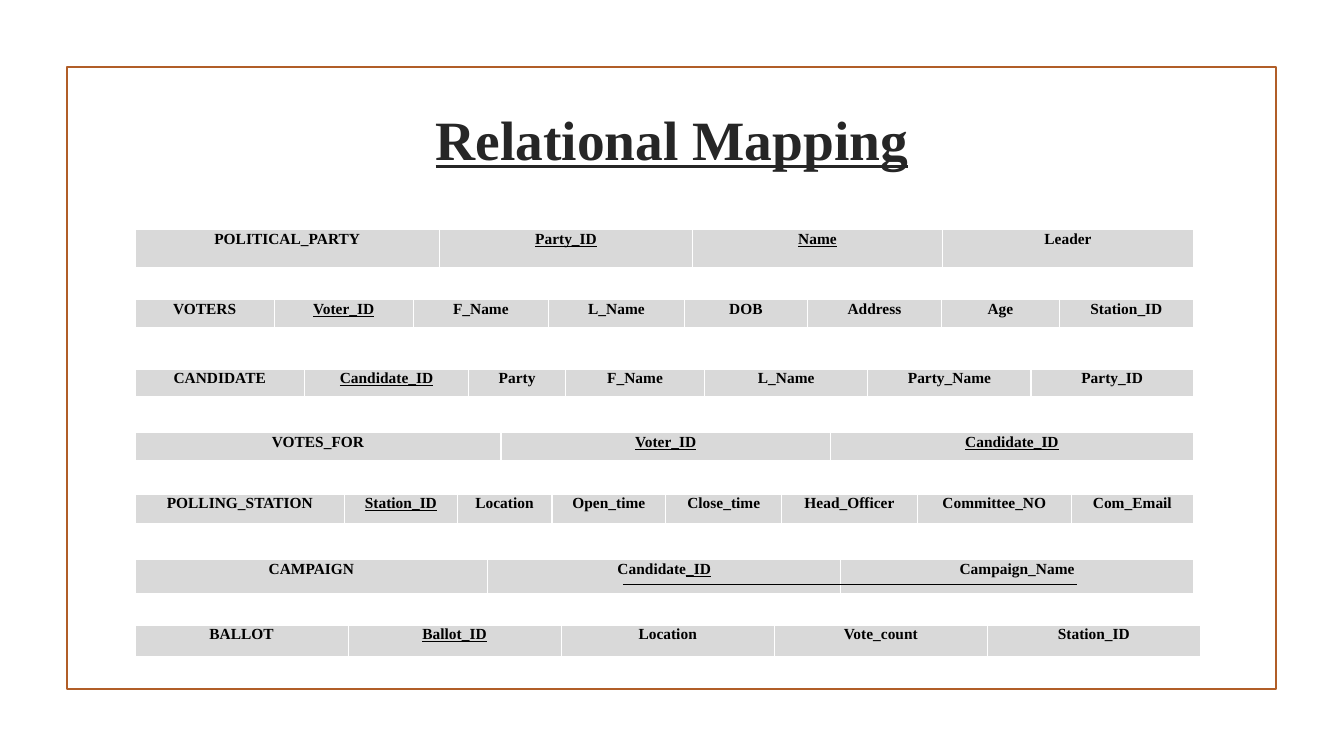
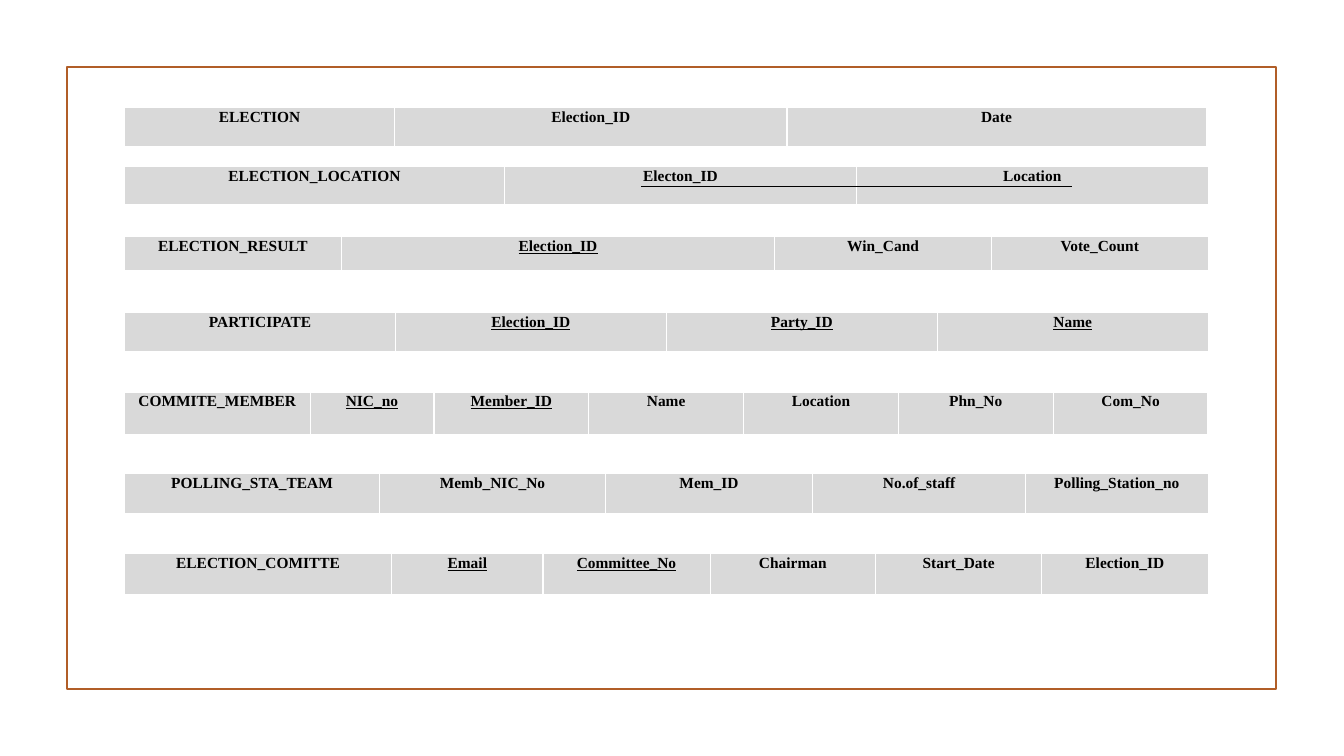
import pptx
import pptx.dml.color
import pptx.enum.shapes
import pptx.enum.text
import pptx.oxml
import pptx.oxml.ns
import pptx.util

Pt = pptx.util.Pt
RGBColor = pptx.dml.color.RGBColor
CENTER = pptx.enum.text.PP_ALIGN.CENTER
MIDDLE = pptx.enum.text.MSO_ANCHOR.MIDDLE

RUST = RGBColor(0xB1, 0x5E, 0x28)
CHARCOAL = RGBColor(0x26, 0x26, 0x26)
BLACK = RGBColor(0, 0, 0)
WHITE = RGBColor(0xFF, 0xFF, 0xFF)
GREY = RGBColor(0xD9, 0xD9, 0xD9)

FONT = "Times New Roman"
TITLE_FORMAT = {"name": FONT, "size": Pt(39.6), "bold": True, "underline": True}
CELL_FORMAT = {"name": FONT, "size": Pt(11), "bold": True}
CELL_MARGINS = {"margin_left": Pt(5), "margin_right": Pt(5), "margin_top": 0, "margin_bottom": 0}
TABLE_FLAGS = {"first_row": False, "horz_banding": False}
BORDERS = {"lnL": 1, "lnR": 1, "lnT": 1, "lnB": 3}


def key(text, plain=""):
    return plain, text


SLIDES = [
    {
        "title": "Relational Mapping",
        "left": 96.5,
        "rules": [(445, 769, 417.6)],
        "relations": [
            (164.2, 28, [217.5, 180.7, 178.6, 179.3],
             ["POLITICAL_PARTY", key("Party_ID"), key("Name"), "Leader"]),
            (213.8, 20.9, [99.4, 99.4, 96.5, 97.2, 87.8, 95.8, 84.2, 95.8],
             ["VOTERS", key("Voter_ID"), "F_Name", "L_Name", "DOB", "Address", "Age", "Station_ID"]),
            (263.5, 20.9, [121, 117.4, 69.1, 99.4, 116.6, 116.6, 115.9],
             ["CANDIDATE", key("Candidate_ID"), "Party", "F_Name", "L_Name", "Party_Name", "Party_ID"]),
            (308.9, 20.9, [261.4, 235.4, 259.2],
             ["VOTES_FOR", key("Voter_ID"), key("Candidate_ID")]),
            (352.8, 22.3, [149.8, 80.3, 67.7, 81.4, 82.8, 96.8, 110.2, 87],
             ["POLLING_STATION", key("Station_ID"), "Location", "Open_time", "Close_time",
              "Head_Officer", "Committee_NO", "Com_Email"]),
            (399.6, 25.2, [252] * 3,
             ["CAMPAIGN", key("_ID", "Candidate"), "Campaign_Name"]),
            (446.4, 23.8, [152.2] * 5,
             ["BALLOT", key("Ballot_ID"), "Location", "Vote_count", "Station_ID"]),
        ],
    },
    {
        "title": None,
        "left": 89,
        "rules": [(458, 766, 133.2)],
        "relations": [
            (77, 28.8, [193, 280.1, 299.5],
             ["ELECTION", "Election_ID", "Date"]),
            (118.8, 28, [271.4, 251.3, 251.3],
             ["ELECTION_LOCATION", "Electon_ID", "Location"]),
            (169.2, 25.2, [154.8, 309.6, 154.8, 154.8],
             ["ELECTION_RESULT", key("Election_ID"), "Win_Cand", "Vote_Count"]),
            (223.2, 28.8, [193.5] * 4,
             ["PARTICIPATE", key("Election_ID"), key("Party_ID"), key("Name")]),
            (280, 31, [132.5, 88.5] + [110.6] * 5,
             ["COMMITE_MEMBER", key("NIC_no"), key("Member_ID"), "Name", "Location", "Phn_No", "Com_No"]),
            (338.4, 29.5, [182.2, 161.3, 148, 152.2, 130.3],
             ["POLLING_STA_TEAM", "Memb_NIC_No", "Mem_ID", "No.of_staff", "Polling_Station_no"]),
            (395.3, 30.2, [190.8, 108, 119.5, 118.1, 118.8, 118.8],
             ["ELECTION_COMITTE", key("Email"), key("Committee_No"), "Chairman", "Start_Date", "Election_ID"]),
        ],
    },
]


def apply(target, values):
    for name, value in values.items():
        setattr(target, name, value)


def add_run(p, text, values, color):
    r = p.add_run()
    r.text = text
    apply(r.font, values)
    r.font.color.rgb = color


def add_frame(s):
    sp = s.shapes.add_shape(pptx.enum.shapes.MSO_SHAPE.RECTANGLE, Pt(47.7), Pt(48), Pt(864), Pt(444))
    sp.shadow.inherit = False
    sp.fill.background()
    sp.line.color.rgb = RUST
    sp.line.width = Pt(1.25)


def add_title(s, text):
    tf = s.shapes.add_textbox(Pt(102), Pt(77), Pt(756), Pt(44)).text_frame
    apply(tf, {"word_wrap": True, "vertical_anchor": MIDDLE})
    p = tf.paragraphs[0]
    p.alignment = CENTER
    add_run(p, text, TITLE_FORMAT, CHARCOAL)


def fill_cell(cell, content):
    apply(cell, CELL_MARGINS)
    tc_pr = cell._tc.get_or_add_tcPr()
    for tag, width in BORDERS.items():
        tc_pr.append(pptx.oxml.parse_xml(
            f'<a:{tag} {pptx.oxml.ns.nsdecls("a")} w="{Pt(width)}">'
            f'<a:solidFill><a:srgbClr val="{WHITE}"/></a:solidFill></a:{tag}>'))
    cell.fill.solid()
    cell.fill.fore_color.rgb = GREY
    p = cell.text_frame.paragraphs[0]
    apply(p, {"alignment": CENTER, "line_spacing": 1.07})
    plain, underlined = content if isinstance(content, tuple) else (content, "")
    for text, underline in ((plain, False), (underlined, True)):
        if text:
            add_run(p, text, {**CELL_FORMAT, "underline": underline}, BLACK)


def add_relation(s, left, top, height, widths, fields):
    table = s.shapes.add_table(1, len(fields), Pt(left), Pt(top), Pt(sum(widths)), Pt(height)).table
    apply(table, TABLE_FLAGS)
    for column, width in zip(table.columns, widths):
        column.width = Pt(width)
    for cell, content in zip(table.rows[0].cells, fields):
        fill_cell(cell, content)


def add_rule(s, x1, x2, y):
    line = s.shapes.add_connector(pptx.enum.shapes.MSO_CONNECTOR.STRAIGHT, Pt(x1), Pt(y), Pt(x2), Pt(y))
    line.line.color.rgb = BLACK
    line.line.width = Pt(0.75)
    line._element.spPr.append(pptx.oxml.parse_xml(f'<a:effectLst {pptx.oxml.ns.nsdecls("a")}/>'))


def main():
    prs = pptx.Presentation()
    apply(prs, {"slide_width": Pt(960), "slide_height": Pt(540)})
    for content in SLIDES:
        s = prs.slides.add_slide(prs.slide_layouts[6])
        add_frame(s)
        if content["title"]:
            add_title(s, content["title"])
        for relation in content["relations"]:
            add_relation(s, content["left"], *relation)
        for rule in content["rules"]:
            add_rule(s, *rule)
    prs.save("out.pptx")


if __name__ == "__main__":
    main()
